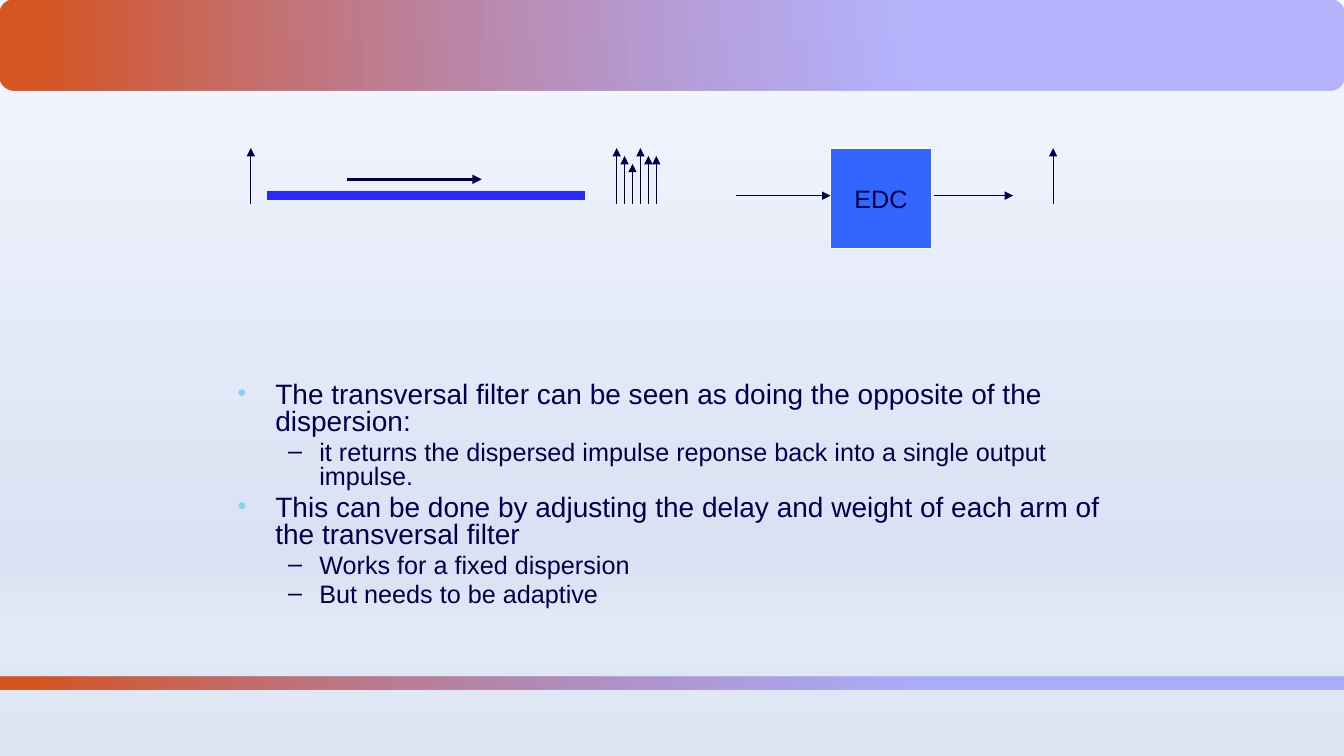
from lxml.etree import SubElement
from pptx import Presentation
from pptx.dml.color import RGBColor
from pptx.enum.shapes import MSO_CONNECTOR, MSO_SHAPE
from pptx.enum.text import MSO_ANCHOR, PP_ALIGN
from pptx.oxml.ns import qn
from pptx.util import Cm, Pt

NAVY = RGBColor(0x00, 0x00, 0x4C)
FIBRE_BLUE = RGBColor(0x29, 0x29, 0xFF)
BOX_BLUE = RGBColor(0x33, 0x66, 0xFF)
WHITE = RGBColor(0xFF, 0xFF, 0xFF)
BULLET_BLUE = RGBColor(0x86, 0xD1, 0xEC)
ORANGE = RGBColor(0xD6, 0x54, 0x20)
VIOLET = RGBColor(0x7B, 0x75, 0xFB)
FONT = "Arial"
WIDTH, HEIGHT = 33.87, 19.05

# Gradient stops: position %, colour, opacity %
BAND_STOPS = [(2, ORANGE, 100), (68, VIOLET, 51)]
BACKGROUND_STOPS = [
    (0, RGBColor(0xF5, 0xF7, 0xFF), 100),
    (74, RGBColor(0xD9, 0xE2, 0xF3), 100),
    (83, RGBColor(0xE2, 0xE9, 0xF6), 100),
    (100, RGBColor(0xDC, 0xE5, 0xF4), 47),
]

BULLETS = [
    (0, "The transversal filter can be seen as doing the opposite of the dispersion:"),
    (1, "it returns the dispersed impulse reponse back into a single output impulse."),
    (0, "This can be done by adjusting the delay and weight of each arm of the transversal filter"),
    (1, "Works for a fixed dispersion"),
    (1, "But needs to be adaptive"),
]
# Per level: text size, left indent, hanging indent, bullet
LEVELS = [(20, 0.95, 0.95, "•"), (18, 2.06, 0.79, "–")]


def set_gradient(fill, element, stops, angle):
    fill.gradient()
    fill.gradient_angle = angle
    stop_list = element.find(".//" + qn("a:gsLst"))
    for old_stop in list(stop_list):
        stop_list.remove(old_stop)
    for position, colour, opacity in stops:
        stop = SubElement(stop_list, qn("a:gs"), pos=str(position * 1000))
        tint = SubElement(stop, qn("a:srgbClr"), val=str(colour))
        if opacity < 100:
            SubElement(tint, qn("a:alpha"), val=str(opacity * 1000))


def add_line(page, x1, y1, x2, y2, colour=NAVY, weight=0.75, arrow=True):
    line = page.shapes.add_connector(
        MSO_CONNECTOR.STRAIGHT, Cm(x1), Cm(y1), Cm(x2), Cm(y2))
    line.line.color.rgb = colour
    line.line.width = Pt(weight)
    if arrow:
        SubElement(line.line._get_or_add_ln(), qn("a:tailEnd"), type="triangle")
    SubElement(line._element.spPr, qn("a:effectLst"))


def add_band(page, left, top, width, height):
    band = page.shapes.add_shape(
        MSO_SHAPE.ROUNDED_RECTANGLE, Cm(left), Cm(top), Cm(width), Cm(height))
    band.shadow.inherit = False
    set_gradient(band.fill, band._element.spPr, BAND_STOPS, 0)
    band.line.fill.background()


def add_diagram(page, left, top):
    baseline, axis = top + 1.4, top + 1.2

    # Fibre with the direction of light above it
    add_line(page, left + 0.41, axis, left + 8.41, axis, FIBRE_BLUE, 6, arrow=False)
    add_line(page, left + 2.42, top + 0.79, left + 5.82, top + 0.79, weight=2.25)

    # Input impulse, dispersed impulses, restored impulse
    dispersed = [(9.22 + 0.2 * i, height)
                 for i, height in enumerate([1.4, 1.2, 1, 1.4, 1.2, 1.2])]
    for x, height in [(0, 1.4), *dispersed, (20.22, 1.4)]:
        add_line(page, left + x, baseline, left + x, baseline - height)

    # Compensator block
    block = page.shapes.add_shape(
        MSO_SHAPE.RECTANGLE, Cm(left + 14.61), Cm(top), Cm(2.54), Cm(2.54))
    block.shadow.inherit = False
    block.fill.solid()
    block.fill.fore_color.rgb = BOX_BLUE
    block.line.color.rgb = WHITE
    block.line.width = Pt(0.75)
    frame = block.text_frame
    frame.text = "EDC"
    frame.word_wrap = False
    frame.vertical_anchor = MSO_ANCHOR.MIDDLE
    para = frame.paragraphs[0]
    para.alignment = PP_ALIGN.CENTER
    format_span(para.runs[0], 18)

    # Signal into and out of the block
    for start, end in [(12.22, 14.61), (17.23, 19.21)]:
        add_line(page, left + start, axis, left + end, axis)


def format_span(span, size):
    span.font.name = FONT
    span.font.size = Pt(size)
    span.font.color.rgb = NAVY


def add_bullets(page, left, top, width, height):
    box = page.shapes.add_textbox(Cm(left), Cm(top), Cm(width), Cm(height))
    frame = box.text_frame
    frame.word_wrap = True
    for i, (level, text) in enumerate(BULLETS):
        size, indent, hanging, bullet = LEVELS[level]
        para = frame.add_paragraph() if i else frame.paragraphs[0]
        para.text = text
        para.level = level
        para.line_spacing = 0.8
        para.space_before = Pt(0.2 * size if i else 0)
        props = para._p.get_or_add_pPr()
        props.set("marL", str(Cm(indent)))
        props.set("indent", str(-Cm(hanging)))
        if level == 0:
            tint = SubElement(props, qn("a:buClr"))
            SubElement(tint, qn("a:srgbClr"), val=str(BULLET_BLUE))
            SubElement(props, qn("a:buSzPct"), val="90000")
        SubElement(props, qn("a:buFont"), typeface=FONT)
        SubElement(props, qn("a:buChar"), char=bullet)
        format_span(para.runs[0], size)


def main():
    deck = Presentation()
    deck.slide_width, deck.slide_height = Cm(WIDTH), Cm(HEIGHT)
    page = deck.slides.add_slide(deck.slide_layouts[6])
    set_gradient(page.background.fill, page._element, BACKGROUND_STOPS, 270)

    add_diagram(page, 6.32, 3.73)
    add_bullets(page, 5.74, 9.53, 22.86, 6.5)
    add_band(page, 0, 0, WIDTH, 2.29)
    add_band(page, 0, 17.04, WIDTH, 0.33)
    deck.save("out.pptx")


if __name__ == "__main__":
    main()
